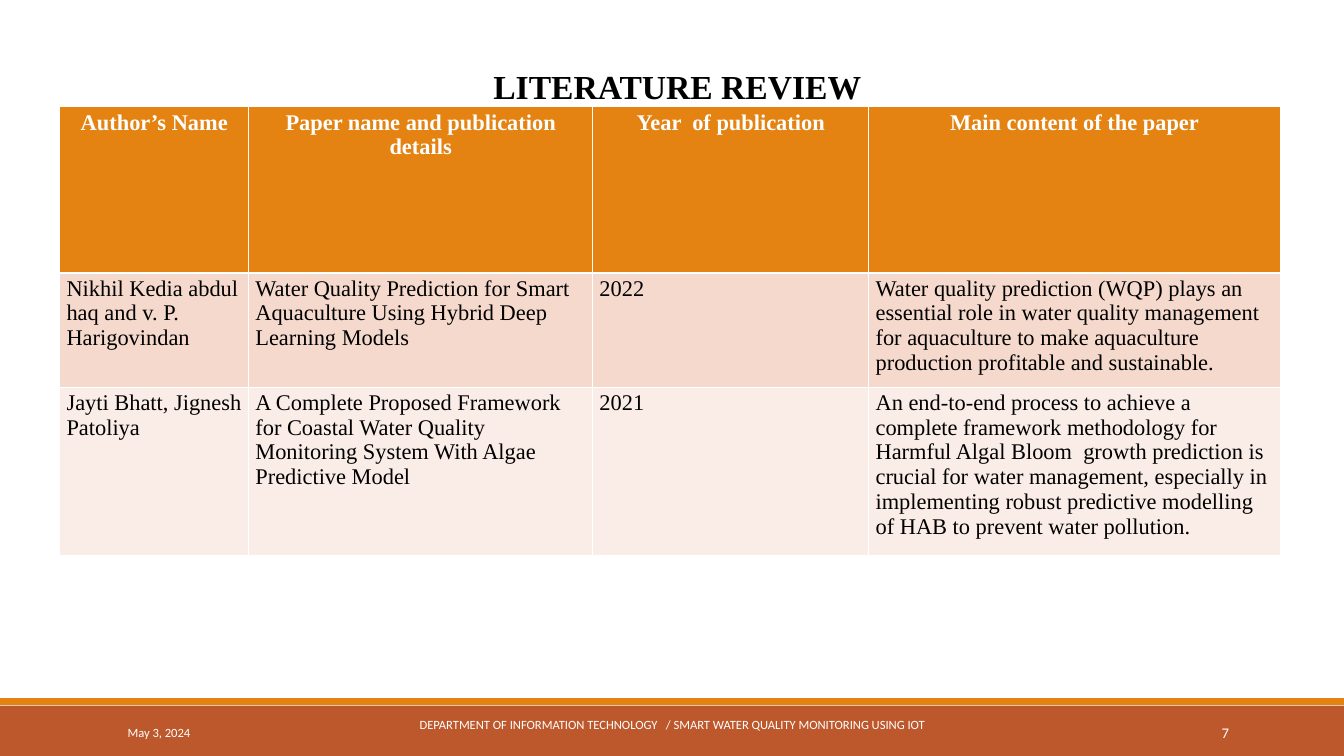
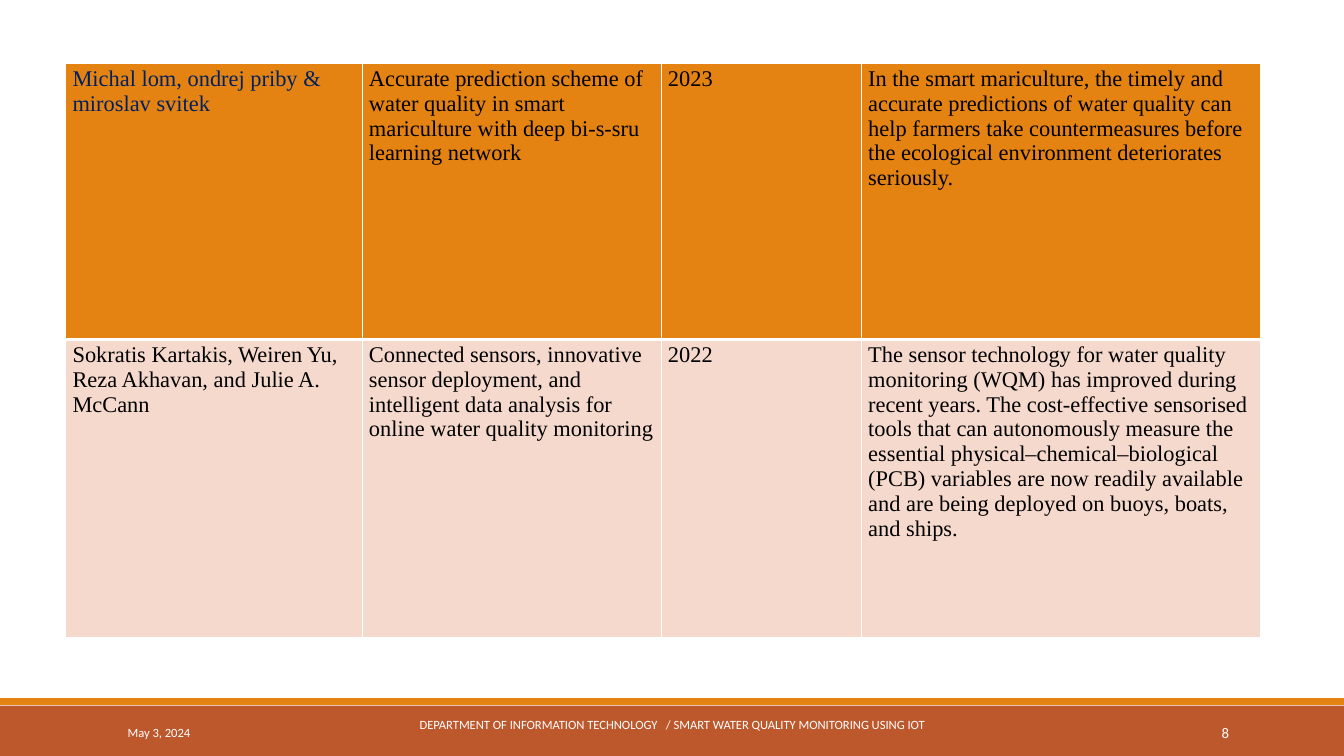
from lxml import etree
from pptx import Presentation, util as u
from pptx.dml.color import RGBColor
from pptx.enum import shapes, text
from pptx.oxml.ns import qn

WIDTH, HEIGHT = 20, 11.25
ORANGE, RUST, PINK, PALE = "E48312", "BD582C", "F5D9CC", "FAEDE7"
WHITE, BLACK, NAVY = "FFFFFF", "000000", "002060"
SERIF, SANS = "Times New Roman", "Calibri"
LEFT, CENTER, RIGHT = text.PP_ALIGN.LEFT, text.PP_ALIGN.CENTER, text.PP_ALIGN.RIGHT

DATE = "May 3, 2024"
FOOTER = "DEPARTMENT OF INFORMATION TECHNOLOGY   / SMART WATER QUALITY MONITORING USING IOT"

PAGES = [
    dict(
        number=7,
        title="LITERATURE REVIEW",
        corner=(0.89, 1.59),
        columns=[2.81, 5.12, 4.11, 6.12],
        heights=[2.47, 1.7, 2.5],
        headed=True,
        rows=[
            ["Author’s Name", "Paper name and publication details",
             "Year  of publication", "Main content of the paper"],
            ["Nikhil Kedia abdul haq and v. P. Harigovindan",
             "Water Quality Prediction for Smart Aquaculture Using Hybrid Deep Learning Models",
             "2022",
             "Water quality prediction (WQP) plays an essential role in water quality management "
             "for aquaculture to make aquaculture production profitable and sustainable."],
            ["Jayti Bhatt, Jignesh Patoliya",
             "A Complete Proposed Framework for Coastal Water Quality Monitoring System With "
             "Algae Predictive Model",
             "2021",
             "An end-to-end process to achieve a complete framework methodology for Harmful Algal "
             "Bloom  growth prediction is crucial for water management, especially in implementing "
             "robust predictive modelling of HAB to prevent water pollution."],
        ],
    ),
    dict(
        number=8,
        title=None,
        corner=(0.98, 0.94),
        columns=[4.41, 4.45, 2.98, 5.93],
        heights=[4.11, 4.44],
        headed=False,
        rows=[
            ["Michal lom, ondrej priby & miroslav svitek",
             "Accurate prediction scheme of water quality in smart mariculture with deep bi-s-sru "
             "learning network",
             "2023",
             "In the smart mariculture, the timely and accurate predictions of water quality can "
             "help farmers take countermeasures before the ecological environment deteriorates "
             "seriously."],
            ["Sokratis Kartakis, Weiren Yu, Reza Akhavan, and Julie A. McCann",
             "Connected sensors, innovative sensor deployment, and intelligent data analysis for "
             "online water quality monitoring",
             "2022",
             "The sensor technology for water quality monitoring (WQM) has improved during recent "
             "years. The cost-effective sensorised tools that can autonomously measure the "
             "essential physical–chemical–biological (PCB) variables are now readily available "
             "and are being deployed on buoys, boats, and ships."],
        ],
    ),
]


def color(value):
    return RGBColor.from_string(value)


def inches(*lengths):
    return [u.Inches(length) for length in lengths]


def write(frame, words, size=24, font=SERIF, fill=BLACK, bold=False, align=LEFT):
    """Put one formatted paragraph in a text frame and return it."""
    para = frame.paragraphs[0]
    para.alignment = align
    span = para.add_run()
    span.text = words
    span.font.size, span.font.name, span.font.bold = u.Pt(size), font, bold
    span.font.color.rgb = color(fill)
    return para


def add_band(page, top, height, fill):
    band = page.shapes.add_shape(shapes.MSO_SHAPE.RECTANGLE, *inches(0, top, WIDTH, height))
    band.shadow.inherit = False
    band.fill.solid()
    band.fill.fore_color.rgb = color(fill)
    band.line.fill.background()


def add_footer_text(page, left, width, words, size=13.5, align=LEFT, bottom=0.05):
    box = page.shapes.add_textbox(*inches(left, 10.6, width, 0.6))
    frame = box.text_frame
    frame.word_wrap = True
    frame.vertical_anchor = text.MSO_ANCHOR.MIDDLE
    frame.margin_bottom = u.Inches(bottom)
    write(frame, words, size, SANS, WHITE, align=align)


def add_footer(page, number):
    add_band(page, 10.5, 0.75, RUST)
    add_band(page, 10.39, 0.1, ORANGE)
    add_footer_text(page, 1.8, 4.06, DATE)
    add_footer_text(page, 16.24, 2.15, str(number), 15.8, RIGHT)
    add_footer_text(page, 6.05, 7.91, FOOTER, align=CENTER, bottom=0.28)


def add_title(page, words):
    title = page.shapes.title
    title.left, title.top, title.width, title.height = inches(0.61, 0.63, 18.44, 0.9)
    frame = title.text_frame
    frame.auto_size = text.MSO_AUTO_SIZE.NONE
    frame.vertical_anchor = text.MSO_ANCHOR.TOP
    para = write(frame, words, 36, bold=True, align=CENTER)
    para.line_spacing = 1.5
    para._p.get_or_add_pPr().set("marL", str(u.Inches(0.5)))


def add_borders(cell, widths):
    """Draw white borders; widths maps a side (L, R, T, B) to points."""
    properties = cell._tc.get_or_add_tcPr()
    for place, (side, width) in enumerate(widths.items()):
        line = etree.Element(qn(f"a:ln{side}"), w=str(u.Pt(width)))
        solid = etree.SubElement(line, qn("a:solidFill"))
        etree.SubElement(solid, qn("a:srgbClr"), val=WHITE)
        properties.insert(place, line)


def cell_format(row, column, headed):
    if row > 0:
        return {}
    if headed:
        return dict(fill=WHITE, bold=True, align=CENTER)
    return dict(fill=NAVY if column == 0 else BLACK)


def add_review_table(page, corner, columns, heights, rows, headed):
    holder = page.shapes.add_table(len(rows), len(columns),
                                   *inches(*corner, sum(columns), sum(heights)))
    table = holder.table
    for column, width in zip(table.columns, columns):
        column.width = u.Inches(width)
    for row, height in zip(table.rows, heights):
        row.height = u.Inches(height)
    for r, entries in enumerate(rows):
        for c, words in enumerate(entries):
            cell = table.cell(r, c)
            cell.fill.solid()
            cell.fill.fore_color.rgb = color((ORANGE, PINK, PALE)[r])
            add_borders(cell, dict(L=1, R=1, T=3 if r == 1 else 1, B=1 if r else 3))
            write(cell.text_frame, words, **cell_format(r, c, headed))


def main():
    deck = Presentation()
    deck.slide_width, deck.slide_height = inches(WIDTH, HEIGHT)
    title_only, blank = deck.slide_layouts[5], deck.slide_layouts[6]
    for content in PAGES:
        page = deck.slides.add_slide(title_only if content["title"] else blank)
        add_footer(page, content["number"])
        if content["title"]:
            add_title(page, content["title"])
        add_review_table(page, content["corner"], content["columns"], content["heights"],
                         content["rows"], content["headed"])
    deck.save("out.pptx")


if __name__ == "__main__":
    main()
